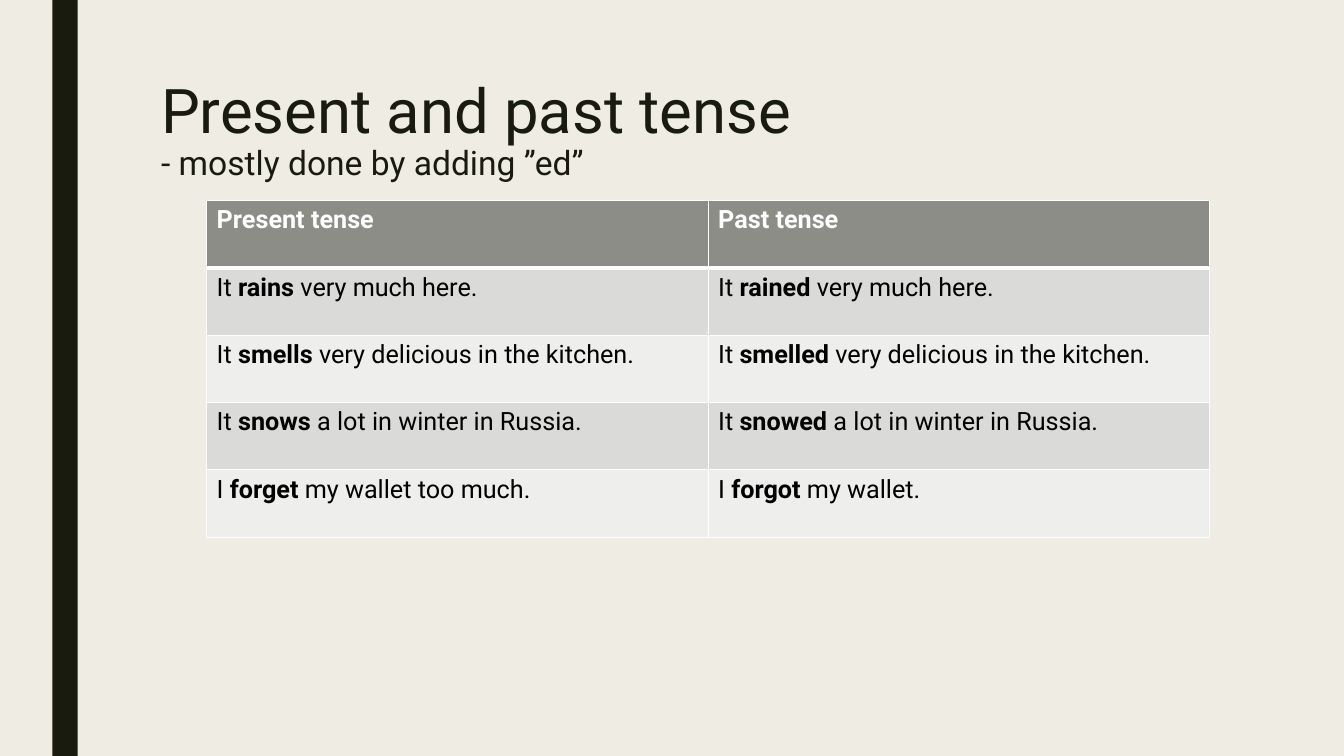
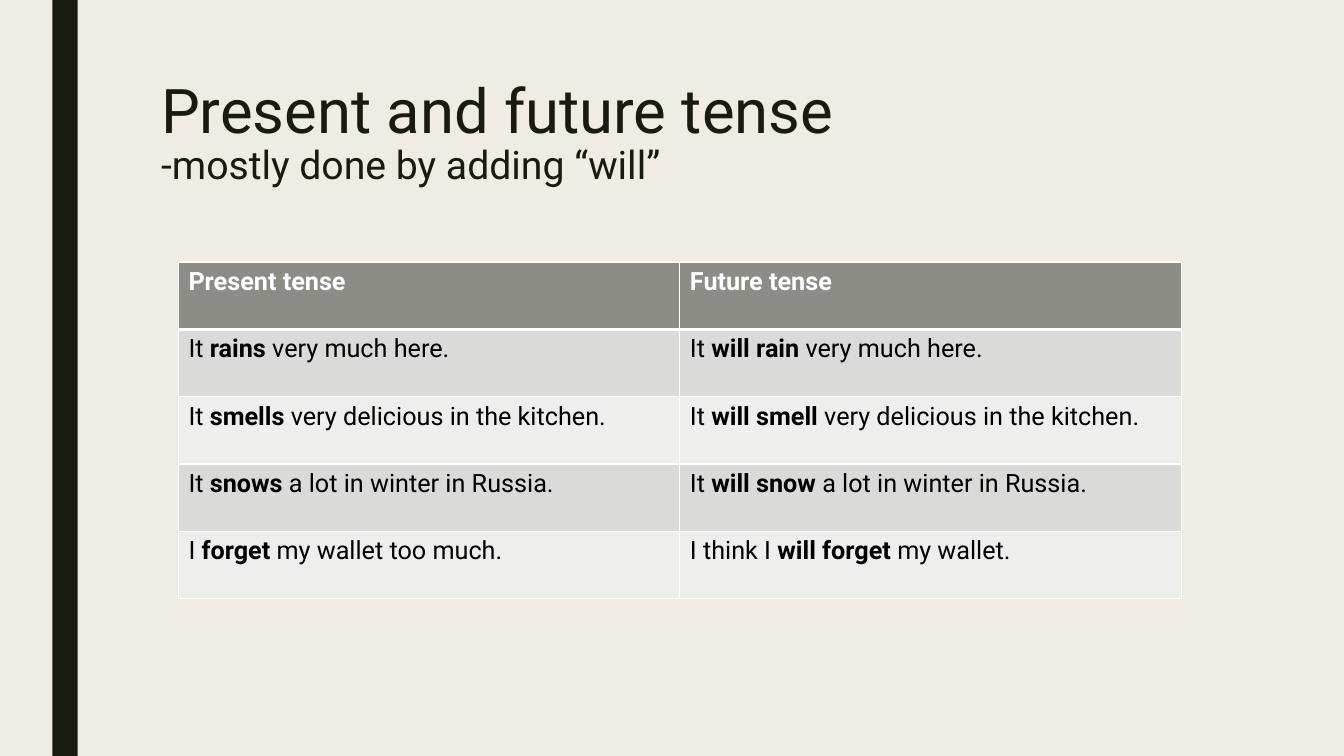
from dataclasses import dataclass

from lxml import etree
from pptx import Presentation
from pptx.dml import color
from pptx.enum import shapes, text
from pptx.oxml import ns
from pptx.util import Emu, Inches, Pt

COLORS = {
    "background": "EFEDE3",
    "dark": "191B0E",
    "header": "8C8D86",
    "odd_row": "DADBD9",
    "even_row": "EEEEED",
    "white": "FFFFFF",
    "black": "000000",
}
FONT = "Roboto"
TITLE_SIZE = 44
TABLE_SIZE = 18
THIN, THICK = 1, 3
SLIDE_WIDTH, SLIDE_HEIGHT = Inches(13.33), Inches(7.5)
GRID_COLUMNS, GRID_ROWS = 80, 45


@dataclass(frozen=True)
class Area:
    column: float
    row: float
    columns: float
    rows: float

    def box(self) -> tuple[Emu, Emu, Emu, Emu]:
        step_x, step_y = SLIDE_WIDTH / GRID_COLUMNS, SLIDE_HEIGHT / GRID_ROWS
        return (
            Emu(round(self.column * step_x)),
            Emu(round(self.row * step_y)),
            Emu(round(self.columns * step_x)),
            Emu(round(self.rows * step_y)),
        )


@dataclass(frozen=True)
class TenseSlide:
    title: str
    subtitle: str
    subtitle_size: int
    table_column: float
    table_row: float
    tense: str
    sentences: tuple[str, ...]


BAND = Area(3.12, 0, 1.5, GRID_ROWS)
TITLE = Area(9, 4.5, 63, 9.72)
TABLE_COLUMNS, TABLE_ROWS = 59.7, 20.04

PRESENT_SENTENCES = (
    "It *rains* very much here.",
    "It *smells* very delicious in the kitchen.",
    "It *snows* a lot in winter in Russia.",
    "I *forget* my wallet too much.",
)
TENSE_SLIDES = (
    TenseSlide(
        "Present and past tense", "- mostly done by adding ”ed”", 24,
        12.3, 11.94, "Past tense",
        (
            "It *rained* very much here.",
            "It *smelled* very delicious in the kitchen.",
            "It *snowed* a lot in winter in Russia.",
            "I *forgot* my wallet.",
        ),
    ),
    TenseSlide(
        "Present and future tense", "-mostly done by adding “will”", 28,
        10.62, 15.6, "Future tense",
        (
            "It *will rain* very much here.",
            "It *will smell* very delicious in the kitchen.",
            "It *will snow* a lot in winter in Russia.",
            "I think I *will forget* my wallet.",
        ),
    ),
)


def rgb(name: str) -> color.RGBColor:
    return color.RGBColor.from_string(COLORS[name])


def add_run(paragraph, words: str, size: int, color_name: str, bold: bool = False) -> None:
    run = paragraph.add_run()
    run.text = words
    run.font.name = FONT
    run.font.size = Pt(size)
    run.font.bold = bold
    run.font.color.rgb = rgb(color_name)


def add_band(slide) -> None:
    band = slide.shapes.add_shape(shapes.MSO_SHAPE.RECTANGLE, *BAND.box())
    band.shadow.inherit = False
    band.fill.solid()
    band.fill.fore_color.rgb = rgb("dark")
    band.line.fill.background()


def add_title(slide, content: TenseSlide) -> None:
    frame = slide.shapes.add_textbox(*TITLE.box()).text_frame
    frame.word_wrap = True
    frame.vertical_anchor = text.MSO_ANCHOR.TOP
    paragraph = frame.paragraphs[0]
    paragraph.line_spacing = 0.89
    add_run(paragraph, content.title, TITLE_SIZE, "dark")
    paragraph.add_line_break()
    add_run(paragraph, content.subtitle, content.subtitle_size, "dark")


def set_borders(cell, top: int, bottom: int) -> None:
    properties = cell._tc.get_or_add_tcPr()
    for side, width in (("L", THIN), ("R", THIN), ("T", top), ("B", bottom)):
        line = etree.SubElement(properties, ns.qn(f"a:ln{side}"), w=str(Pt(width)))
        fill = etree.SubElement(line, ns.qn("a:solidFill"))
        etree.SubElement(fill, ns.qn("a:srgbClr"), val=COLORS["white"])


def fill_cell(cell, row: int, words: str) -> None:
    is_header = row == 0
    set_borders(cell, THICK if row == 1 else THIN, THICK if is_header else THIN)
    cell.fill.solid()
    cell.fill.fore_color.rgb = rgb("header" if is_header else "odd_row" if row % 2 else "even_row")
    paragraph = cell.text_frame.paragraphs[0]
    for index, part in enumerate(words.split("*")):
        add_run(paragraph, part, TABLE_SIZE, "white" if is_header else "black",
                is_header or index % 2 == 1)


def add_tense_table(slide, content: TenseSlide) -> None:
    lines = [("Present tense", content.tense), *zip(PRESENT_SENTENCES, content.sentences)]
    area = Area(content.table_column, content.table_row, TABLE_COLUMNS, TABLE_ROWS)
    table = slide.shapes.add_table(len(lines), 2, *area.box()).table
    for row, line in enumerate(lines):
        for column, words in enumerate(line):
            fill_cell(table.cell(row, column), row, words)


def build_slide(presentation, content: TenseSlide) -> None:
    slide = presentation.slides.add_slide(presentation.slide_layouts[6])
    slide.background.fill.solid()
    slide.background.fill.fore_color.rgb = rgb("background")
    add_band(slide)
    add_title(slide, content)
    add_tense_table(slide, content)


def main() -> None:
    presentation = Presentation()
    presentation.slide_width = SLIDE_WIDTH
    presentation.slide_height = SLIDE_HEIGHT
    for content in TENSE_SLIDES:
        build_slide(presentation, content)
    presentation.save("out.pptx")


if __name__ == "__main__":
    main()
